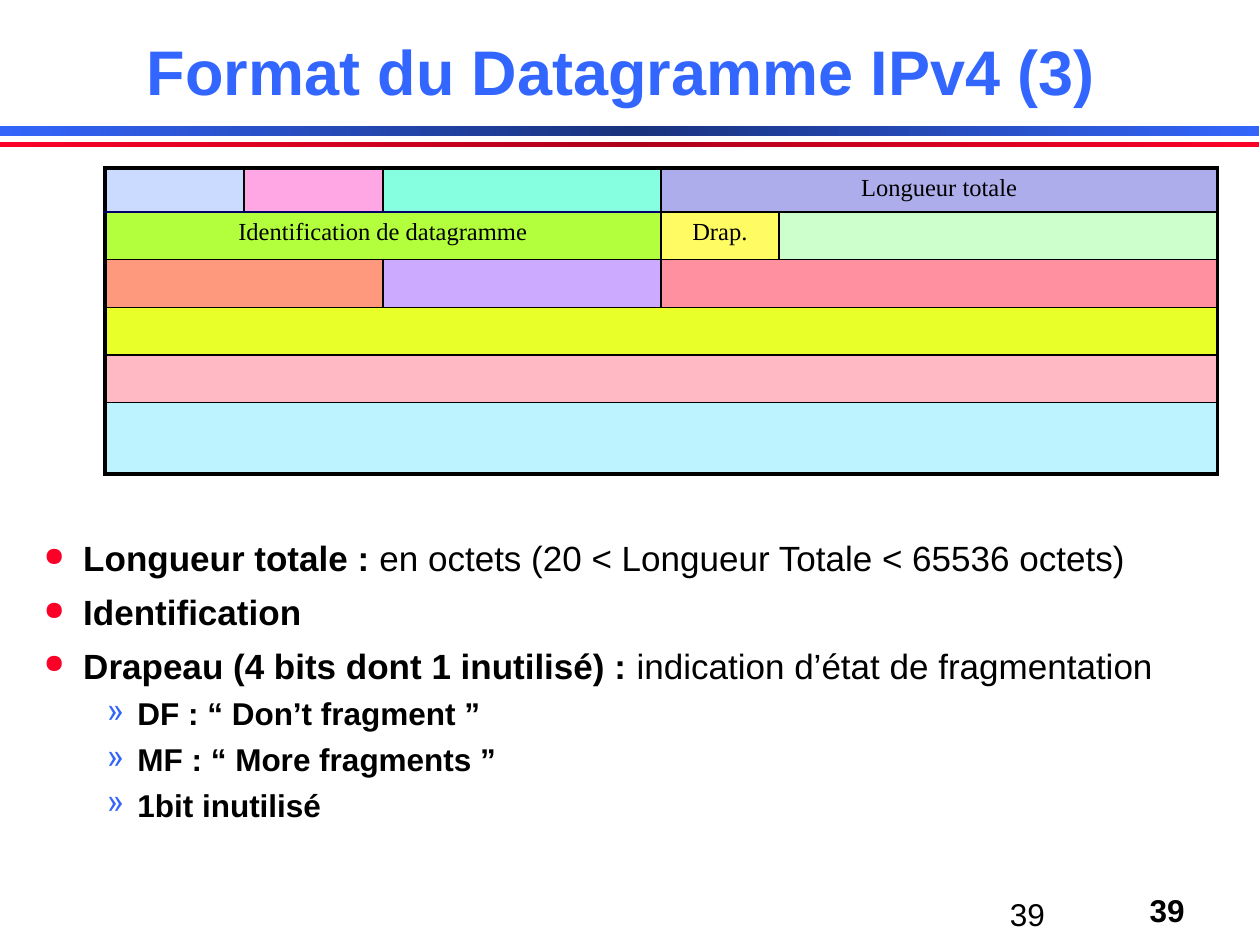
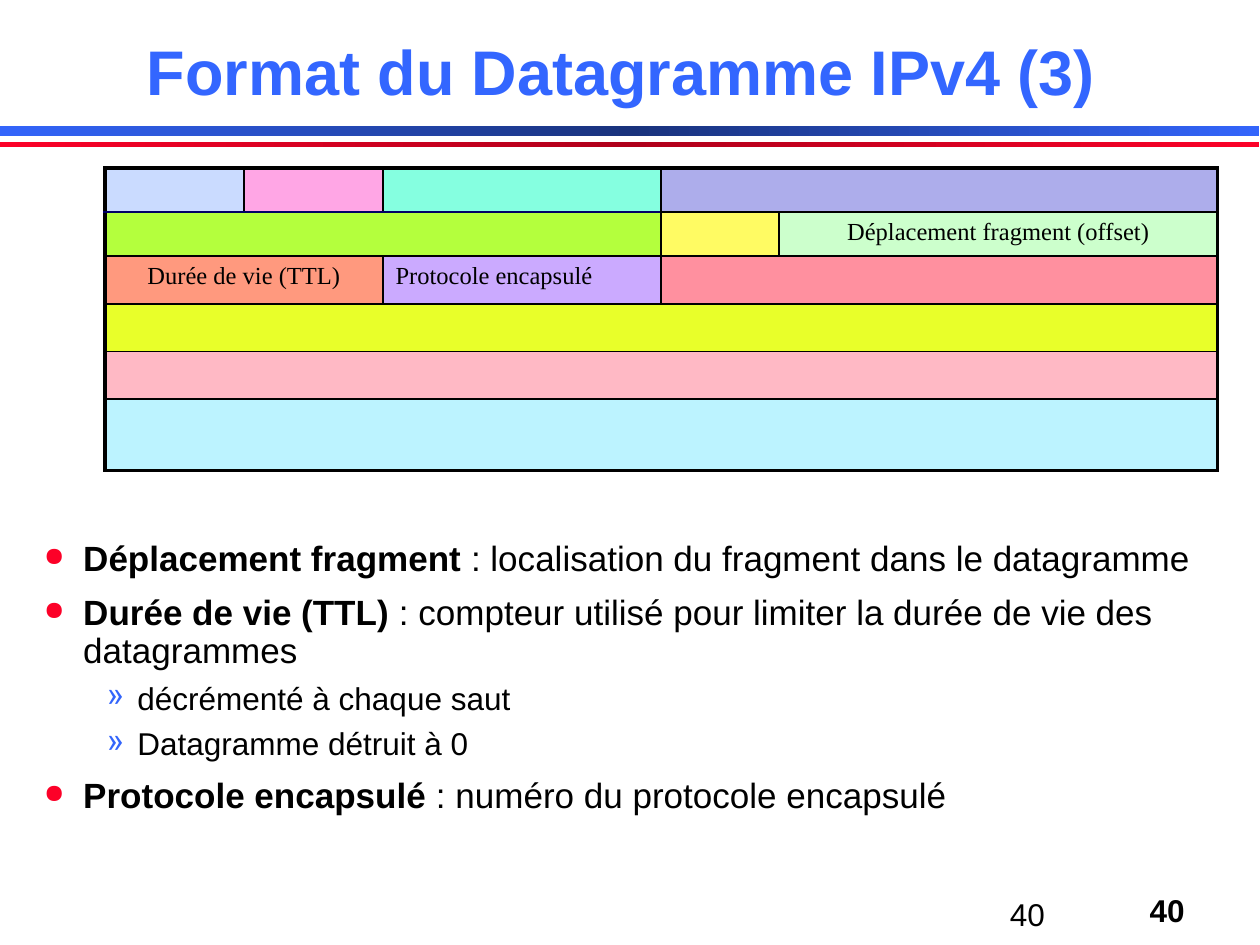
import pptx
import pptx.util
import pptx.dml.color
import pptx.enum.shapes
import pptx.enum.text
import pptx.oxml.ns
import lxml.etree

Pt = pptx.util.Pt
Align = pptx.enum.text.PP_ALIGN
Anchor = pptx.enum.text.MSO_ANCHOR
qn = pptx.oxml.ns.qn

hues = {
    "title": "3366FF", "ink": "000000", "blue": "3365FB", "navy": "19327C",
    "red": "FC0128", "dark": "AF001B", "edge": "000066",
    "sky": "CADBFF", "pink": "FFA6E5", "aqua": "85FFE0", "mauve": "ADADEB",
    "lime": "B4FF3D", "lemon": "FFFB63", "mint": "CCFFCC", "peach": "FF997E",
    "violet": "CBAAFF", "coral": "FF909F", "yellow": "E8FF2A",
    "rose": "FFB9C5", "ice": "BCF3FF",
}
bands = [(72, 6, "blue", "navy"), (81, 3.2, "red", "dark")]
widths = [79.4, 79.4, 158.8, 67.6, 250.6]
fields = [
    (0, 0, 1, "sky"), (0, 1, 1, "pink"), (0, 2, 1, "aqua"), (0, 3, 2, "mauve"),
    (1, 0, 3, "lime"), (1, 3, 1, "lemon"), (1, 4, 1, "mint"),
    (2, 0, 2, "peach"), (2, 2, 1, "violet"), (2, 3, 2, "coral"),
    (3, 0, 5, "yellow"), (4, 0, 5, "rose"), (5, 0, 5, "ice"),
]
levels = [
    {"size": 20, "left": 22.5, "hang": 22.5, "gap": 9, "mark": "●", "hue": "red", "scale": 75},
    {"size": 18, "left": 53.5, "hang": 17.5, "gap": 6.8, "mark": "»", "hue": "blue", "scale": 100},
]
pages = [
    {
        "number": 39,
        "rows": [25.2, 27.2, 27.2, 27.2, 27.2, 41],
        "labels": {"mauve": "Longueur totale", "lime": "Identification de datagramme",
                   "lemon": "Drap."},
        "points": [
            (0, "Longueur totale : ", "en octets (20 < Longueur Totale < 65536 octets)"),
            (0, "Identification", ""),
            (0, "Drapeau (4 bits dont 1 inutilisé) : ", "indication d’état de fragmentation"),
            (1, "DF : “ Don’t fragment ”", ""),
            (1, "MF : “ More fragments ”", ""),
            (1, "1bit inutilisé", ""),
        ],
    },
    {
        "number": 40,
        "rows": [25.2, 25.2, 27.2, 27.2, 27.2, 41],
        "labels": {"mint": "Déplacement fragment (offset)", "peach": "Durée de vie (TTL)",
                   "violet": "Protocole encapsulé"},
        "points": [
            (0, "Déplacement fragment ", ": localisation du fragment dans le datagramme"),
            (0, "Durée de vie (TTL) ",
             ": compteur utilisé pour limiter la durée de vie des datagrammes"),
            (1, "", "décrémenté à chaque saut"),
            (1, "", "Datagramme détruit à 0"),
            (0, "Protocole encapsulé ", ": numéro du protocole encapsulé"),
        ],
    },
]


def style(run, size, bold=False, hue="ink", face="Arial"):
    run.font.size = Pt(size)
    run.font.bold = bold
    run.font.name = face
    run.font.color.rgb = pptx.dml.color.RGBColor.from_string(hues[hue])


def write(slide, box, words, size, bold, hue, align, anchor):
    frame = slide.shapes.add_textbox(*map(Pt, box)).text_frame
    frame.word_wrap = True
    frame.vertical_anchor = anchor
    frame.text = words
    line = frame.paragraphs[0]
    line.alignment = align
    for run in line.runs:
        style(run, size, bold, hue)
    return frame


deck = pptx.Presentation()
deck.slide_width, deck.slide_height = Pt(720), Pt(540)

for page in pages:
    slide = deck.slides.add_slide(deck.slide_layouts[6])

    for top, height, rim, core in bands:
        band = slide.shapes.add_shape(
            pptx.enum.shapes.MSO_SHAPE.RECTANGLE, 0, Pt(top), Pt(719.5), Pt(height))
        grad = lxml.etree.SubElement(band._element.spPr, qn("a:gradFill"))
        stops = lxml.etree.SubElement(grad, qn("a:gsLst"))
        for place, hue in ((0, rim), (50, core), (100, rim)):
            stop = lxml.etree.SubElement(stops, qn("a:gs"), pos=str(place * 1000))
            lxml.etree.SubElement(stop, qn("a:srgbClr"), val=hues[hue])
        lxml.etree.SubElement(grad, qn("a:lin"), ang="0", scaled="0")
        band.line.fill.background()
        band.shadow.inherit = False

    number = str(page["number"])
    write(slide, (582.5, 505.5, 101.5, 29), number, 18, True, "ink", Align.RIGHT, Anchor.MIDDLE)
    write(slide, (570, 504, 150, 36), number, 18, False, "ink", Align.LEFT, Anchor.MIDDLE)
    title = write(slide, (54, 18, 612, 48), "Format du Datagramme IPv4 (3) ", 36, True,
                  "title", Align.CENTER, Anchor.BOTTOM)
    title.paragraphs[0].line_spacing = 0.9

    body = slide.shapes.add_textbox(Pt(18), Pt(306), Pt(690), Pt(198)).text_frame
    body.word_wrap = True
    for index, (depth, strong, plain) in enumerate(page["points"]):
        level = levels[depth]
        line = body.add_paragraph() if index else body.paragraphs[0]
        line.level = depth
        line.line_spacing = 0.9
        line.space_before = Pt(level["gap"])
        for words, bold in ((strong, True), (plain, False)):
            if words:
                run = line.add_run()
                run.text = words
                style(run, level["size"], bold)
        props = line._p.get_or_add_pPr()
        props.set("marL", str(Pt(level["left"])))
        props.set("indent", str(-Pt(level["hang"])))
        tint = lxml.etree.SubElement(props, qn("a:buClr"))
        lxml.etree.SubElement(tint, qn("a:srgbClr"), val=hues[level["hue"]])
        lxml.etree.SubElement(props, qn("a:buSzPct"), val=str(level["scale"] * 1000))
        lxml.etree.SubElement(props, qn("a:buChar"), char=level["mark"])

    rows = page["rows"]
    table = slide.shapes.add_table(
        len(rows), len(widths), Pt(60), Pt(96), Pt(sum(widths)), Pt(sum(rows))).table
    table.first_row = table.horz_banding = False
    for column, width in zip(table.columns, widths):
        column.width = Pt(width)
    for row, height in zip(table.rows, rows):
        row.height = Pt(height)

    for row, start, span, hue in fields:
        last = start + span - 1
        head = table.cell(row, start)
        if span > 1:
            head.merge(table.cell(row, last))
        sides = {
            "L": (start == 0, "ink"),
            "R": (last == len(widths) - 1, "ink"),
            "T": (row == 0, "edge" if (row, start) == (1, 0) else "ink"),
            "B": (row == len(rows) - 1, "edge" if row == 0 and start < 3 else "ink"),
        }
        for col in range(start, last + 1):
            cell = table.cell(row, col)
            props = cell._tc.get_or_add_tcPr()
            for side, (outer, tone) in sides.items():
                edge = lxml.etree.SubElement(
                    props, qn("a:ln" + side), w=str(Pt(2.25 if outer else 1)))
                fill = lxml.etree.SubElement(edge, qn("a:solidFill"))
                lxml.etree.SubElement(fill, qn("a:srgbClr"), val=hues[tone])
            cell.fill.solid()
            cell.fill.fore_color.rgb = pptx.dml.color.RGBColor.from_string(hues[hue])
            line = cell.text_frame.paragraphs[0]
            if col == start and hue in page["labels"]:
                line.text = page["labels"][hue]
                line.alignment = Align.LEFT if hue == "violet" else Align.CENTER
                style(line.runs[0], 14, face="Times New Roman")
            else:
                lxml.etree.SubElement(line._p, qn("a:endParaRPr"), sz="1400")

deck.save("out.pptx")
